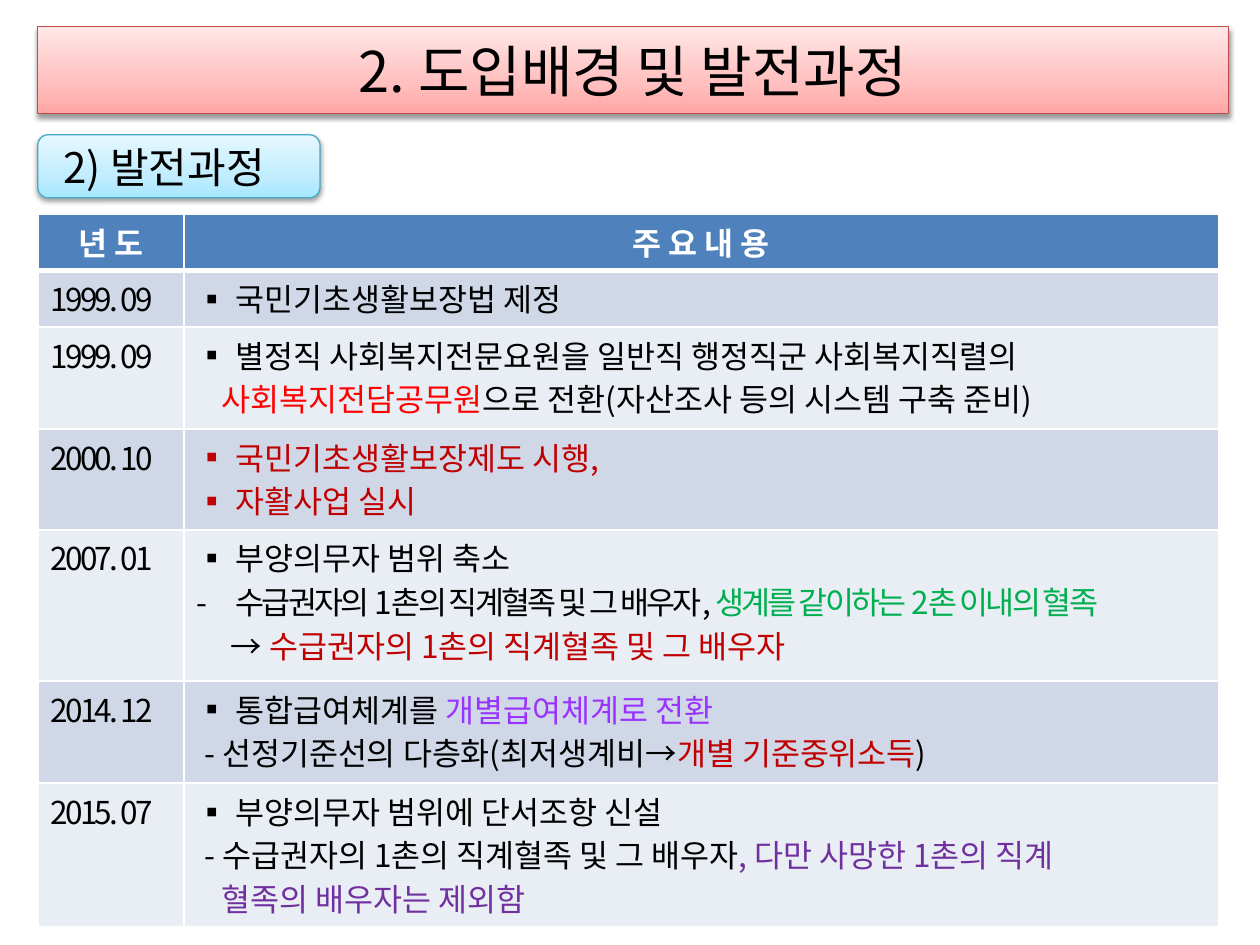
from dataclasses import dataclass

from lxml.etree import SubElement
from pptx import Presentation
from pptx.dml.color import RGBColor
from pptx.enum.shapes import MSO_SHAPE
from pptx.enum.text import MSO_ANCHOR, MSO_AUTO_SIZE, PP_ALIGN
from pptx.oxml.ns import qn
from pptx.util import Inches, Pt


@dataclass(frozen=True)
class Theme:
    font: str = "Noto Sans CJK KR"
    title_size: int = 32
    section_size: int = 24
    table_size: int = 18
    line_pitch: int = 25
    tight: float = -1.5
    black: str = "000000"
    white: str = "FFFFFF"
    header: str = "4F81BD"
    bands: tuple = ("D0D8E8", "E9EDF4")
    red: str = "FF0000"
    crimson: str = "C00000"
    green: str = "00B050"
    violet: str = "9933FF"
    purple: str = "7030A0"
    title_gradient: tuple = ("FFA6A5", "FFC0BF", "FFE7E7")
    title_line: str = "BF4C48"
    section_gradient: tuple = ("A7E6FF", "C1EDFF", "E7F8FF")
    section_line: str = "46AAC5"


THEME = Theme()


@dataclass(frozen=True)
class Line:
    """One paragraph: (text, colour) pieces, an optional bullet and an indent."""
    pieces: tuple
    bullet: str = ""
    indent: float = 0
    spacing: float = 0


def plain(text, color=THEME.black, **options):
    return Line(((text, color),), **options)


def bulleted(*pieces, bullet="▪", spacing=0):
    return Line(pieces, bullet, 0.31, spacing)


COLUMN_WIDTHS = (1.16, 8.21)
ROW_HEIGHTS = (0.42, 0.42, 0.81, 0.8, 1.2, 0.81, 1.13)
HEADINGS = ("년 도", "주 요 내 용")
HISTORY = (
    ("1999. 09", [bulleted(("국민기초생활보장법 제정", THEME.black))]),
    ("1999. 09", [
        bulleted(("별정직 사회복지전문요원을 일반직 행정직군 사회복지직렬의", THEME.black)),
        Line((("사회복지전담공무원", THEME.red),
              ("으로 전환(자산조사 등의 시스템 구축 준비)", THEME.black)), indent=0.2),
    ]),
    ("2000. 10", [
        bulleted(("국민기초생활보장제도 시행,", THEME.crimson)),
        bulleted(("자활사업 실시", THEME.crimson)),
    ]),
    ("2007. 01", [
        bulleted(("부양의무자 범위 축소", THEME.black)),
        bulleted(("수급권자의 1촌의 직계혈족 및 그 배우자, ", THEME.black),
                 ("생계를 같이하는 2촌 이내의 혈족", THEME.green),
                 bullet="-", spacing=THEME.tight),
        Line((("→ ", THEME.black),
              ("수급권자의 1촌의 직계혈족 및 그 배우자", THEME.crimson)), indent=0.27),
    ]),
    ("2014. 12", [
        bulleted(("통합급여체계를 ", THEME.black), ("개별급여체계로 전환", THEME.violet)),
        Line((("- 선정기준선의 다층화(최저생계비→", THEME.black),
              ("개별 기준중위소득", THEME.crimson), (")", THEME.black)), indent=0.06),
    ]),
    ("2015. 07", [
        bulleted(("부양의무자 범위에 단서조항 신설", THEME.black)),
        Line((("- 수급권자의 1촌의 직계혈족 및 그 배우자", THEME.black),
              (", 다만 사망한 1촌의 직계", THEME.purple)), indent=0.06),
        plain("혈족의 배우자는 제외함", THEME.purple, indent=0.2),
    ]),
)


def format_run(run, size, color, bold=False, spacing=0):
    run.font.name = THEME.font
    run.font.size = Pt(size)
    run.font.bold = bold
    run.font.color.rgb = RGBColor.from_string(color)
    properties = run._r.get_or_add_rPr()
    SubElement(properties, qn("a:ea"), typeface=THEME.font)
    if spacing:
        properties.set("spc", str(int(spacing * 100)))


def style_panel(shape, gradient, line_color):
    """Give a panel its upward gradient, thin outline and soft shadow."""
    shape.fill.gradient()
    shape.fill.gradient_angle = 90
    stops = shape._element.spPr.find(qn("a:gradFill")).find(qn("a:gsLst"))
    for stop in list(stops):
        stops.remove(stop)
    for position, color in zip((0, 35, 100), gradient):
        stop = SubElement(stops, qn("a:gs"), pos=str(position * 1000))
        SubElement(stop, qn("a:srgbClr"), val=color)
    shape.line.color.rgb = RGBColor.from_string(line_color)
    shape.line.width = Pt(0.75)
    effects = SubElement(shape._element.spPr, qn("a:effectLst"))
    shadow = SubElement(effects, qn("a:outerShdw"), blurRad=str(Pt(3.1)),
                        dist=str(Pt(1.6)), dir="5400000", rotWithShape="0")
    shadow_color = SubElement(shadow, qn("a:srgbClr"), val=THEME.black)
    SubElement(shadow_color, qn("a:alpha"), val="38000")


def set_panel_text(shape, text, size, alignment):
    frame = shape.text_frame
    frame.text = text
    frame.word_wrap = True
    frame.auto_size = MSO_AUTO_SIZE.NONE
    frame.vertical_anchor = MSO_ANCHOR.MIDDLE
    paragraph = frame.paragraphs[0]
    paragraph.alignment = alignment
    format_run(paragraph.runs[0], size, THEME.black)


def add_title(slide, text):
    title = slide.shapes.title
    title.left, title.top = Inches(0.3), Inches(0.21)
    title.width, title.height = Inches(9.45), Inches(0.69)
    style_panel(title, THEME.title_gradient, THEME.title_line)
    set_panel_text(title, text, THEME.title_size, PP_ALIGN.CENTER)


def add_section_label(slide, text):
    label = slide.shapes.add_shape(MSO_SHAPE.ROUNDED_RECTANGLE, Inches(0.3),
                                   Inches(1.07), Inches(2.24), Inches(0.5))
    style_panel(label, THEME.section_gradient, THEME.section_line)
    set_panel_text(label, text, THEME.section_size, PP_ALIGN.LEFT)
    label.text_frame.margin_left = Inches(0.18)


def style_cell(cell, fill, top=1, bottom=1):
    properties = cell._tc.get_or_add_tcPr()
    for side, width in (("L", 1), ("R", 1), ("T", top), ("B", bottom)):
        border = SubElement(properties, qn(f"a:ln{side}"), w=str(Pt(width)))
        color = SubElement(border, qn("a:solidFill"))
        SubElement(color, qn("a:srgbClr"), val=THEME.white)
    cell.fill.solid()
    cell.fill.fore_color.rgb = RGBColor.from_string(fill)


def write_cell(cell, lines, alignment=PP_ALIGN.LEFT, bold=False):
    frame = cell.text_frame
    for index, line in enumerate(lines):
        paragraph = frame.add_paragraph() if index else frame.paragraphs[0]
        paragraph.alignment = alignment
        paragraph.line_spacing = Pt(THEME.line_pitch)
        properties = paragraph._p.get_or_add_pPr()
        properties.set("marL", str(Inches(line.indent)))
        if line.bullet:
            properties.set("indent", str(-Inches(line.indent)))
            SubElement(properties, qn("a:buFont"), typeface=THEME.font)
            SubElement(properties, qn("a:buChar"), char=line.bullet)
        for text, color in line.pieces:
            run = paragraph.add_run()
            run.text = text
            format_run(run, THEME.table_size, color, bold, line.spacing)


def add_history_table(slide):
    table = slide.shapes.add_table(
        len(ROW_HEIGHTS), len(COLUMN_WIDTHS), Inches(0.3), Inches(1.7),
        Inches(sum(COLUMN_WIDTHS)), Inches(sum(ROW_HEIGHTS))).table
    for column, width in zip(table.columns, COLUMN_WIDTHS):
        column.width = Inches(width)
    for row, height in zip(table.rows, ROW_HEIGHTS):
        row.height = Inches(height)

    # Header row
    for column, heading in enumerate(HEADINGS):
        cell = table.cell(0, column)
        style_cell(cell, THEME.header, bottom=3)
        write_cell(cell, [plain(heading, THEME.white)], PP_ALIGN.CENTER, bold=True)

    # Dated rows in alternating bands
    for row, (date, events) in enumerate(HISTORY, start=1):
        for column, lines in enumerate(([plain(date, spacing=THEME.tight)], events)):
            cell = table.cell(row, column)
            style_cell(cell, THEME.bands[(row - 1) % 2], top=3 if row == 1 else 1)
            write_cell(cell, lines)


def main():
    presentation = Presentation()
    presentation.slide_width, presentation.slide_height = Inches(10), Inches(7.5)
    slide = presentation.slides.add_slide(presentation.slide_layouts[5])
    add_title(slide, "2. 도입배경 및 발전과정")
    add_section_label(slide, "2) 발전과정")
    add_history_table(slide)
    presentation.save("out.pptx")


if __name__ == "__main__":
    main()
